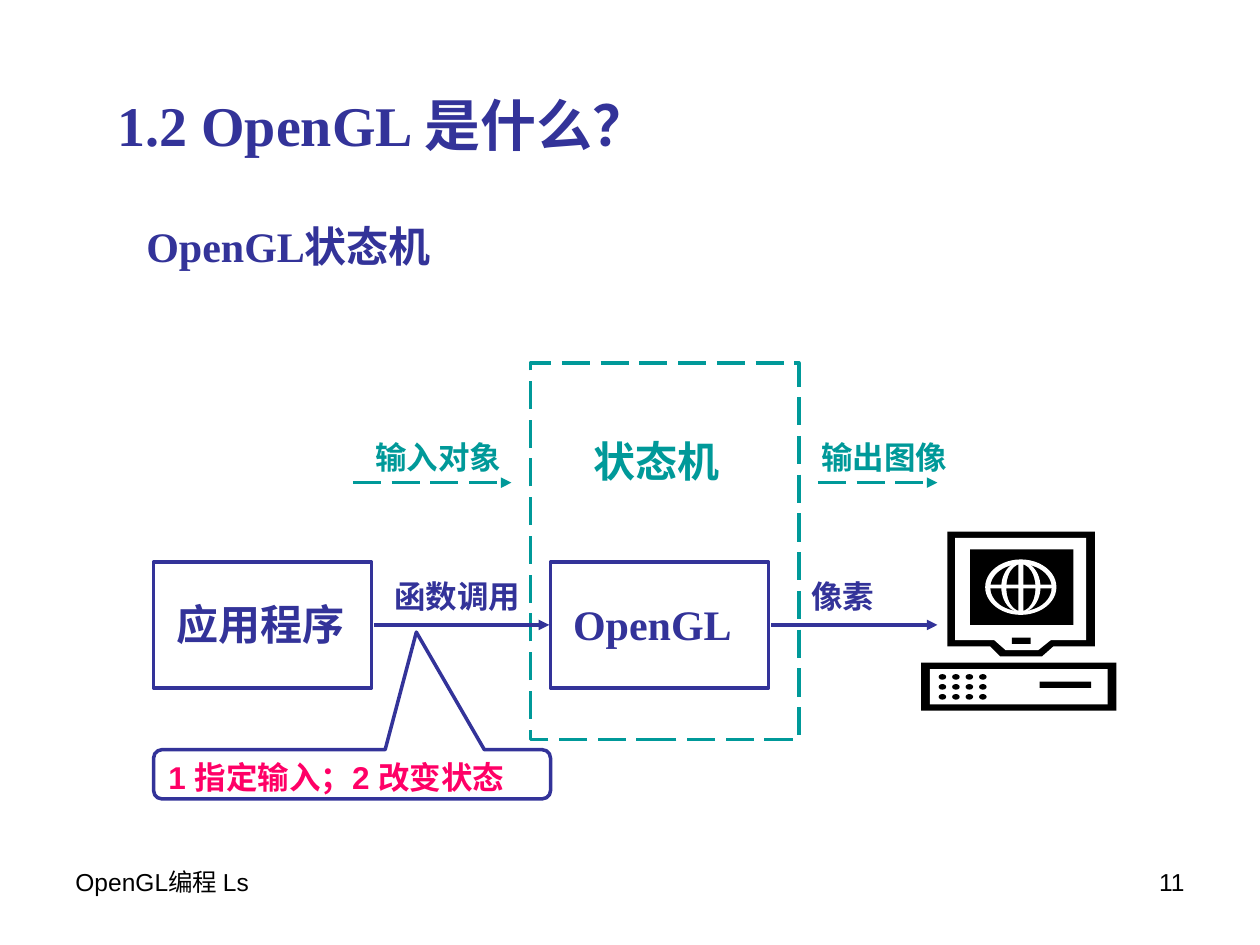
from dataclasses import dataclass

import pptx
import pptx.dml.color
import pptx.enum.dml
import pptx.enum.shapes
import pptx.enum.text
import pptx.oxml
import pptx.oxml.ns
import pptx.util

Pt = pptx.util.Pt
SHAPE = pptx.enum.shapes.MSO_SHAPE
DASH = pptx.enum.dml.MSO_LINE.LONG_DASH
ALIGN = pptx.enum.text.PP_ALIGN
AUTO = pptx.enum.text.MSO_AUTO_SIZE

NAVY, TEAL, PINK = "333399", "009999", "FF0066"
BLACK, WHITE = "000000", "FFFFFF"
SERIF, SANS = "Times New Roman", "Arial"


@dataclass
class Label:
    text: str
    x: float
    y: float
    w: float
    h: float
    size: float
    font: str = SERIF
    color: str = NAVY
    bold: bool = True
    wrap: bool = True
    grow: bool = True
    align: ALIGN = ALIGN.LEFT


@dataclass
class Arrow:
    x1: float
    x2: float
    y: float
    color: str
    dashed: bool = False


@dataclass
class Solid:
    kind: SHAPE
    x: float
    y: float
    w: float
    h: float
    color: str


def rgb(value: str) -> pptx.dml.color.RGBColor:
    return pptx.dml.color.RGBColor.from_string(value)


def write(tf, text: str, size: float, font: str, color: str, bold: bool, align=ALIGN.LEFT) -> None:
    p = tf.paragraphs[0]
    p.add_run().text = text
    p.alignment = align
    p.font.size = Pt(size)
    p.font.name = font
    p.font.bold = bold
    p.font.color.rgb = rgb(color)


def add_label(s, d: Label) -> None:
    tf = s.shapes.add_textbox(Pt(d.x), Pt(d.y), Pt(d.w), Pt(d.h)).text_frame
    tf.word_wrap = d.wrap
    tf.auto_size = AUTO.SHAPE_TO_FIT_TEXT if d.grow else AUTO.NONE
    write(tf, d.text, d.size, d.font, d.color, d.bold, d.align)


def style_line(line, color: str, dashed: bool = False) -> None:
    line.color.rgb = rgb(color)
    line.width = Pt(2)
    if dashed:
        line.dash_style = DASH


def add_outline(s, kind: SHAPE, x: float, y: float, w: float, h: float, color: str, dashed: bool = False):
    sp = s.shapes.add_shape(kind, Pt(x), Pt(y), Pt(w), Pt(h))
    sp.shadow.inherit = False
    sp.fill.background()
    style_line(sp.line, color, dashed)
    return sp


def make_solid(sp, color: str) -> None:
    sp.shadow.inherit = False
    sp.fill.solid()
    sp.fill.fore_color.rgb = rgb(color)
    sp.line.fill.background()


def add_solid(s, d: Solid) -> None:
    make_solid(s.shapes.add_shape(d.kind, Pt(d.x), Pt(d.y), Pt(d.w), Pt(d.h)), d.color)


def add_polygon(s, points: list[tuple[float, float]], color: str) -> None:
    first, *rest = [(Pt(x), Pt(y)) for x, y in points]
    builder = s.shapes.build_freeform(*first, scale=1.0)
    builder.add_line_segments(rest, close=True)
    make_solid(builder.convert_to_shape(), color)


def add_arrow(s, d: Arrow) -> None:
    kind = pptx.enum.shapes.MSO_CONNECTOR.STRAIGHT
    sp = s.shapes.add_connector(kind, Pt(d.x1), Pt(d.y), Pt(d.x2), Pt(d.y))
    style_line(sp.line, d.color, d.dashed)
    tail = pptx.oxml.parse_xml(f'<a:tailEnd {pptx.oxml.ns.nsdecls("a")} type="triangle"/>')
    sp.line._get_or_add_ln().append(tail)
    effects = pptx.oxml.parse_xml(f'<a:effectLst {pptx.oxml.ns.nsdecls("a")}/>')
    sp._element.spPr.append(effects)


MONITOR = [(625.7, 303.8), (541.4, 303.8), (541.4, 369.4), (565.9, 369.4),
           (571.7, 375.1), (595.4, 375.1), (601.9, 369.4), (625.7, 369.4)]
BEZEL = [(593.3, 371.5), (574.6, 371.5), (568.1, 365.8), (545.8, 365.8),
         (545.8, 307.4), (620.6, 307.4), (620.6, 365.8), (600.5, 365.8)]
RECT, OVAL = SHAPE.RECTANGLE, SHAPE.OVAL
COMPUTER_PARTS = [
    Solid(RECT, 554.4, 313.9, 59, 43.2, BLACK),
    Solid(RECT, 526.3, 378.7, 111.6, 27.4, BLACK),
    Solid(RECT, 531.4, 382.3, 101.5, 20.2, WHITE),
    Solid(RECT, 594, 389.5, 29.5, 3.6, BLACK),
    Solid(RECT, 578.2, 364.3, 10.8, 3.6, BLACK),
    # Globe: outer ring, meridian ring, then the two straight bars
    Solid(OVAL, 563, 319.7, 40.7, 31.7, WHITE),
    Solid(OVAL, 565.9, 322.4, 35, 26.8, BLACK),
    Solid(OVAL, 572.2, 321, 22.4, 29, WHITE),
    Solid(OVAL, 575.1, 322.4, 16.6, 26.8, BLACK),
    Solid(RECT, 581.9, 321, 2.9, 29, WHITE),
    Solid(RECT, 565, 334.1, 37, 2.2, WHITE),
]


def add_computer(s) -> None:
    add_polygon(s, MONITOR, BLACK)
    add_polygon(s, BEZEL, WHITE)
    keys = [Solid(OVAL, 536.4 + 7.7 * col, 385.2 + 5.7 * row, 4.3, 3.2, BLACK)
            for row in range(3) for col in range(4)]
    for part in COMPUTER_PARTS + keys:
        add_solid(s, part)


LABELS = [
    Label("OpenGL编程 Ls", 36, 492, 168, 37.4, 14, SANS, BLACK, bold=False, grow=False),
    Label("11", 516, 492, 168, 37.4, 14, SANS, BLACK, bold=False, grow=False, align=ALIGN.RIGHT),
    Label("1.2 OpenGL 是什么？", 60, 48, 368.6, 46, 32),
    Label("OpenGL状态机", 76.5, 122.4, 187, 36, 24),
    Label("应用程序", 93.6, 338.4, 113, 36, 24),
    Label("OpenGL", 320.4, 338.4, 113, 36, 24),
    Label("函数调用", 218.2, 326.2, 113, 28.8, 18),
    Label("像素", 456.5, 326.2, 62.6, 28.8, 18),
    Label("状态机", 331.9, 245.5, 86.4, 36, 24, SANS, TEAL, wrap=False),
    Label("输出图像", 462.2, 247, 86.4, 28.8, 18, SANS, TEAL, wrap=False),
    Label("输入对象", 207.4, 247, 86.4, 28.8, 18, SANS, TEAL, wrap=False),
]
ARROWS = [
    Arrow(213.8, 313.9, 357.1, NAVY),
    Arrow(440.6, 535.7, 357.1, NAVY),
    Arrow(201.6, 292.3, 275.8, TEAL, dashed=True),
    Arrow(467.3, 535.7, 275.8, TEAL, dashed=True),
]


def add_callout(s) -> None:
    sp = add_outline(s, SHAPE.ROUNDED_RECTANGULAR_CALLOUT, 87.8, 428.4, 226.8, 28.1, NAVY)
    for i, value in enumerate((0.162, -2.892, 0.167)):
        sp.adjustments[i] = value
    tf = sp.text_frame
    tf.word_wrap = True
    tf.vertical_anchor = pptx.enum.text.MSO_ANCHOR.TOP
    write(tf, "1 指定输入；2 改变状态", 18, SANS, PINK, True)


def main() -> None:
    prs = pptx.Presentation()
    prs.slide_width, prs.slide_height = Pt(720), Pt(540)
    s = prs.slides.add_slide(prs.slide_layouts[6])
    add_computer(s)
    for x in (87.8, 314.6):
        add_outline(s, RECT, x, 321.1, 124.6, 72, NAVY)
    add_outline(s, RECT, 303.1, 207.4, 153.4, 215.3, TEAL, dashed=True)
    for arrow in ARROWS:
        add_arrow(s, arrow)
    for label in LABELS:
        add_label(s, label)
    add_callout(s)
    prs.save("out.pptx")


if __name__ == "__main__":
    main()
